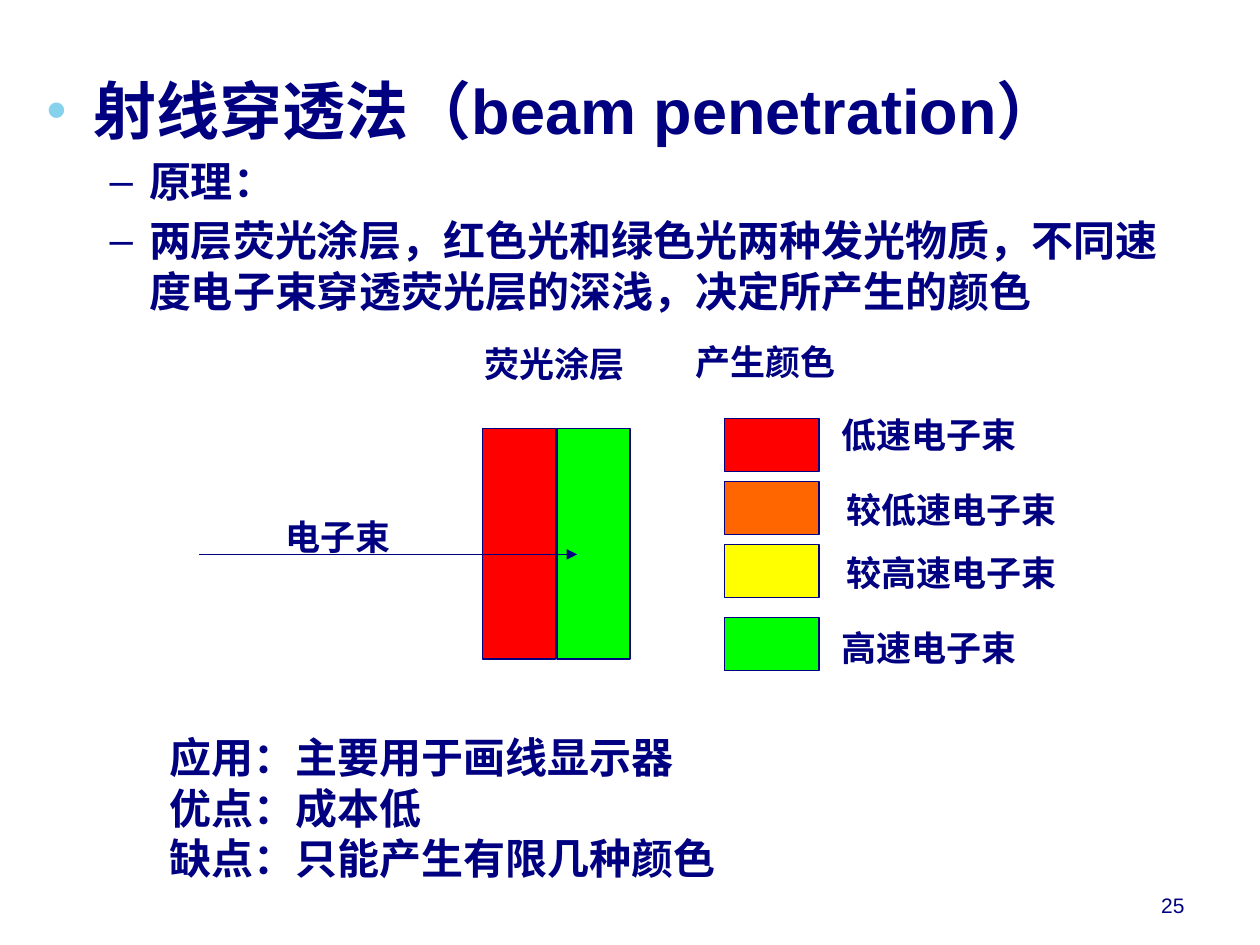
"""Build the slide on the beam penetration method."""
import dataclasses

import pptx
import pptx.dml.color
import pptx.enum.shapes
import pptx.enum.text
import pptx.oxml
import pptx.oxml.ns
import pptx.util

PX = 9144
NAVY, RED, GREEN = "000080", "FF0000", "00FF00"
ROMAN = "Times New Roman"
ALIGN = pptx.enum.text.PP_ALIGN
SIZE = pptx.enum.text.MSO_AUTO_SIZE
ANCHOR = pptx.enum.text.MSO_ANCHOR


@dataclasses.dataclass
class Block:
    left: int
    top: int
    width: int
    height: int
    fill: str


@dataclasses.dataclass
class Label:
    left: int
    top: int
    width: int
    text: str


BLOCKS = [
    *[Block(383 + 59 * i, 340, 58, 183, hue) for i, hue in enumerate((RED, GREEN))],
    *[Block(575, top, 75, 42, hue) for top, hue in
      ((332, RED), (382, "FF6600"), (432, "FFFF00"), (490, GREEN))],
]
LABELS = [
    Label(216, 404, 105, "电子束"),
    Label(374, 267, 133, "荧光涂层"),
    Label(541, 265, 133, "产生颜色"),
    Label(657, 323, 161, "低速电子束"),
    Label(660, 383, 190, "较低速电子束"),
    Label(660, 433, 190, "较高速电子束"),
    Label(657, 492, 161, "高速电子束"),
]
POINTS = [
    (0, 36, "射线穿透法（beam penetration）"),
    (1, 24, "原理："),
    (1, 24, "两层荧光涂层，红色光和绿色光两种发光物质，不同速度电子束穿透荧光层的深浅，决定所产生的颜色"),
]
NOTES = [
    (1, 24, "应用：主要用于画线显示器"),
    (1, 24, "优点：成本低"),
    (1, 24, "缺点：只能产生有限几种颜色"),
]


def px(*nums: int) -> list[int]:
    """Turn px into EMU."""
    return [num * PX for num in nums]


def color(code: str) -> pptx.dml.color.RGBColor:
    """Turn a hex string into a colour."""
    return pptx.dml.color.RGBColor.from_string(code)


def apply(target, form: dict) -> None:
    """Set each format value on the target."""
    for name, value in form.items():
        setattr(target, name, value)


def add_xml(parent, tag: str, **attrs: str):
    """Append an element in the drawing namespace."""
    node = parent.makeelement(pptx.oxml.ns.qn(tag), attrs)
    parent.append(node)
    return node


def write(frame, rows: list, face: str, bold: bool = True, align=None) -> None:
    """Fill a text frame with levelled rows."""
    for i, (level, size, text) in enumerate(rows):
        para = frame.add_paragraph() if i else frame.paragraphs[0]
        apply(para, {"level": level, "alignment": align})
        run = para.add_run()
        run.text = text
        apply(run.font, {"name": face, "size": pptx.util.Pt(size), "bold": bold})
        run.font.color.rgb = color(NAVY)


def draw_block(slide, item: Block) -> None:
    """Draw one outlined colour block."""
    kind = pptx.enum.shapes.MSO_SHAPE.RECTANGLE
    shape = slide.shapes.add_shape(
        kind, *px(item.left, item.top, item.width, item.height))
    shape.shadow.inherit = False
    shape.fill.solid()
    shape.fill.fore_color.rgb = color(item.fill)
    shape.line.color.rgb = color(NAVY)
    shape.line.width = pptx.util.Pt(0.75)


def draw_label(slide, item: Label) -> None:
    """Draw one centred label."""
    box = slide.shapes.add_textbox(*px(item.left, item.top, item.width, 44))
    apply(box.text_frame, {"word_wrap": False, "auto_size": SIZE.SHAPE_TO_FIT_TEXT})
    write(box.text_frame, [(0, 20, item.text)], ROMAN, align=ALIGN.CENTER)


def draw_beam(slide) -> None:
    """Draw the arrow of the electron beam."""
    kind = pptx.enum.shapes.MSO_CONNECTOR.STRAIGHT
    beam = slide.shapes.add_connector(kind, *px(158, 440, 458, 440))
    beam.line.color.rgb = color(NAVY)
    beam.line.width = pptx.util.Pt(0.75)
    add_xml(beam.line._get_or_add_ln(), "a:tailEnd", type="triangle")
    add_xml(beam._element.spPr, "a:effectLst")


def draw_body(slide) -> None:
    """Fill the body placeholder with the main points."""
    body = slide.placeholders[1]
    apply(body, dict(zip(("left", "top", "width", "height"), px(27, 52, 908, 244))))
    body.text_frame.auto_size = SIZE.NONE
    write(body.text_frame, POINTS, "Arial")
    props = body.text_frame.paragraphs[0]._p.get_or_add_pPr()
    add_xml(add_xml(props, "a:buClr"), "a:srgbClr", val="86D1EC")
    add_xml(props, "a:buSzPct", val="90000")


def main() -> None:
    """Build and save the slide."""
    deck = pptx.Presentation()
    deck.slide_width, deck.slide_height = px(1000, 750)
    slide = deck.slides.add_slide(deck.slide_layouts[1])
    title = slide.shapes.title._element
    title.getparent().remove(title)

    page = slide.shapes.add_textbox(*px(717, 683, 233, 50)).text_frame
    apply(page, {"word_wrap": True, "vertical_anchor": ANCHOR.BOTTOM})
    write(page, [(0, 12, "25")], "Arial", bold=False, align=ALIGN.RIGHT)

    draw_body(slide)
    for item in BLOCKS:
        draw_block(slide, item)
    draw_beam(slide)
    for item in LABELS:
        draw_label(slide, item)

    notes = slide.shapes.add_textbox(*px(75, 576, 583, 131)).text_frame
    apply(notes, {"word_wrap": True, "auto_size": SIZE.SHAPE_TO_FIT_TEXT})
    write(notes, NOTES, ROMAN)
    for para in notes.paragraphs:
        para._p.get_or_add_pPr().set("marL", str(50 * PX))
    deck.save("out.pptx")


if __name__ == "__main__":
    main()
